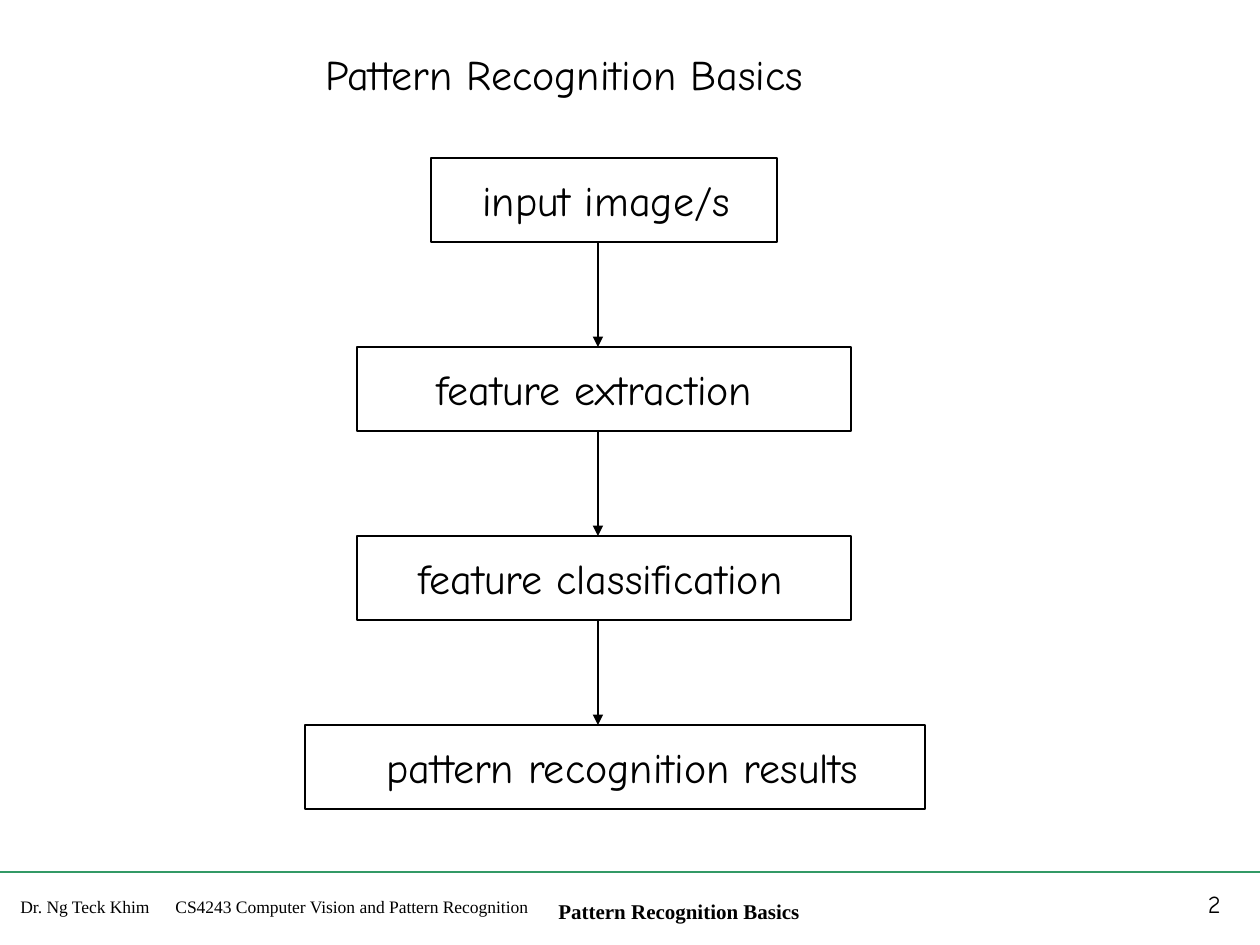
from dataclasses import dataclass

from lxml import etree
from pptx import Presentation
from pptx.dml.color import RGBColor
from pptx.enum.shapes import MSO_CONNECTOR, MSO_SHAPE
from pptx.enum.text import MSO_AUTO_SIZE, PP_ALIGN
from pptx.oxml.ns import qn
from pptx.slide import Slide
from pptx.util import Emu, Pt

STRAIGHT = MSO_CONNECTOR.STRAIGHT
RECTANGLE = MSO_SHAPE.RECTANGLE
GROW = MSO_AUTO_SIZE.SHAPE_TO_FIT_TEXT
LEFT, RIGHT = PP_ALIGN.LEFT, PP_ALIGN.RIGHT

PX_PER_INCH = 126
SLIDE_W, SLIDE_H = 1260, 945
COLORS = {"ink": "000000", "rule": "339966"}
HAND, SERIF = "Comic Neue", "Times New Roman"
LINE_WIDTH = Pt(0.75)

STAGE_TOP, STAGE_STEP, STAGE_H = 158, 189, 84
LABEL_DROP, LABEL_H = 10, 63
FLOW_X = 598
RULE_Y = 872
COURSE_TAB = 155


@dataclass(frozen=True)
class Label:
    text: str
    left: int
    top: int
    width: int
    height: int
    size: int = 24
    font: str = HAND
    bold: bool = False
    wrap: bool = False
    align: PP_ALIGN = LEFT
    tab: int = 0


@dataclass(frozen=True)
class Stage:
    text: str
    left: int
    width: int
    text_left: int
    text_width: int


STAGES = (
    Stage("input image/s", 431, 346, 470, 276),
    Stage("feature extraction", 357, 494, 424, 346),
    Stage("feature classification", 357, 494, 406, 394),
    Stage("pattern recognition results", 305, 620, 374, 502),
)

LABELS = (
    Label("Dr. Ng Teck Khim\tCS4243 Computer Vision and Pattern Recognition",
          8, 890, 546, 34, size=10, font=SERIF, wrap=True, tab=COURSE_TAB),
    Label("Pattern Recognition Basics", 546, 892, 272, 38, size=12, font=SERIF, bold=True),
    Label("Pattern Recognition Basics", 313, 42, 510, LABEL_H),
    Label("2", 971, 883, 262, 63, size=14, wrap=True, align=RIGHT),
)


def px(length: int) -> Emu:
    return Emu(round(length * 914400 / PX_PER_INCH))


def color(name: str) -> RGBColor:
    return RGBColor.from_string(COLORS[name])


def draw_label(slide: Slide, label: Label) -> None:
    box = slide.shapes.add_textbox(px(label.left), px(label.top), px(label.width), px(label.height))
    frame = box.text_frame
    frame.word_wrap = label.wrap
    frame.auto_size = GROW
    paragraph = frame.paragraphs[0]
    paragraph.text = label.text
    paragraph.alignment = label.align
    paragraph.font.name = label.font
    paragraph.font.size = Pt(label.size)
    paragraph.font.bold = label.bold
    paragraph.font.color.rgb = color("ink")
    if label.tab:
        tabs = etree.Element(qn("a:tabLst"))
        etree.SubElement(tabs, qn("a:tab"), pos=str(px(label.tab)), algn="l")
        paragraph.font._element.addprevious(tabs)


def draw_line(slide: Slide, start: tuple[int, int], end: tuple[int, int],
              ink: str, arrow: bool = False) -> None:
    line = slide.shapes.add_connector(STRAIGHT, *map(px, start + end))
    line.line.color.rgb = color(ink)
    line.line.width = LINE_WIDTH
    if arrow:
        etree.SubElement(line.line._get_or_add_ln(), qn("a:tailEnd"), type="triangle")
    etree.SubElement(line._element.spPr, qn("a:effectLst"))


def draw_stage(slide: Slide, stage: Stage, top: int) -> None:
    frame = slide.shapes.add_shape(RECTANGLE, px(stage.left), px(top), px(stage.width), px(STAGE_H))
    frame.shadow.inherit = False
    frame.fill.background()
    frame.line.color.rgb = color("ink")
    frame.line.width = LINE_WIDTH
    draw_label(slide, Label(stage.text, stage.text_left, top + LABEL_DROP,
                            stage.text_width, LABEL_H))


def main() -> None:
    """Build the pattern recognition flow slide."""
    deck = Presentation()
    deck.slide_width, deck.slide_height = px(SLIDE_W), px(SLIDE_H)
    slide = deck.slides.add_slide(deck.slide_layouts[6])

    draw_line(slide, (0, RULE_Y), (SLIDE_W, RULE_Y), "rule")
    for label in LABELS:
        draw_label(slide, label)
    for index, stage in enumerate(STAGES):
        top = STAGE_TOP + index * STAGE_STEP
        draw_stage(slide, stage, top)
        if index:
            draw_line(slide, (FLOW_X, top - STAGE_STEP + STAGE_H), (FLOW_X, top), "ink", arrow=True)

    deck.save("out.pptx")


if __name__ == "__main__":
    main()
